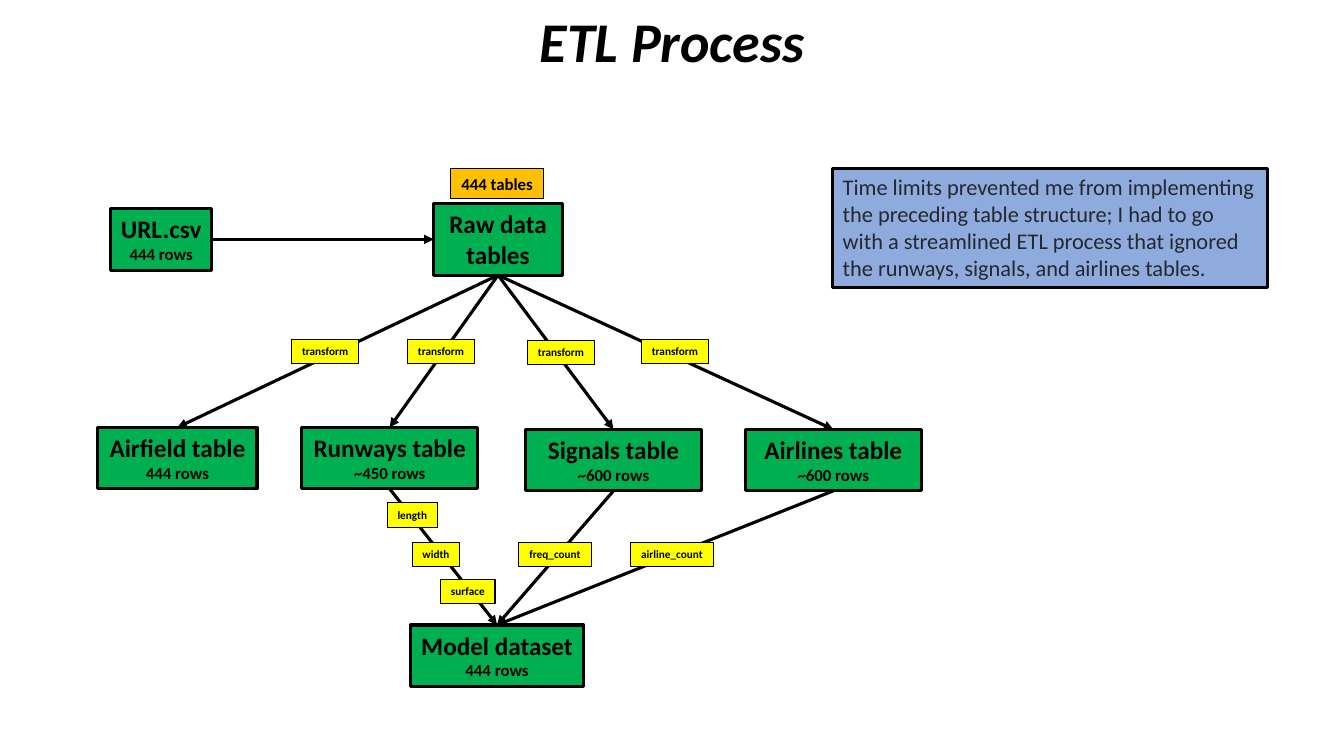
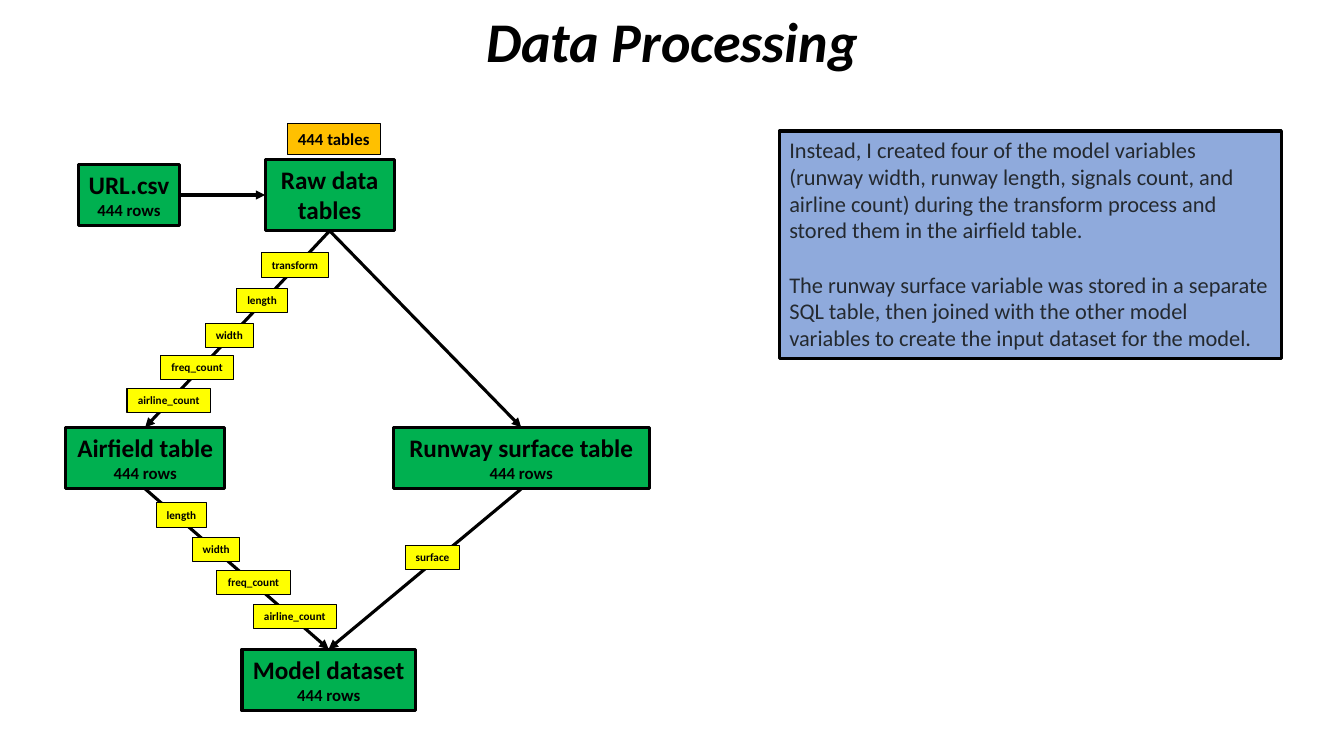
from lxml.etree import SubElement
from pptx import Presentation
from pptx.dml.color import RGBColor
from pptx.enum.shapes import MSO_CONNECTOR as Connector, MSO_SHAPE as Shape
from pptx.enum.text import MSO_ANCHOR as Anchor, MSO_AUTO_SIZE as AutoSize, PP_ALIGN as Align
from pptx.oxml.ns import qn
from pptx.util import Inches, Pt

TOP, LEFT, BOTTOM, RIGHT = range(4)


def color(value):
    return RGBColor.from_string(value)


class Deck:
    BLACK, GREEN, ORANGE, YELLOW = "000000", "00B050", "FFC000", "FFFF00"
    NOTE_FILL, NOTE_TEXT = "8FAADC", "24292F"
    FONT = "Calibri"
    THICK, THIN = 2.25, 0.75
    TITLE = {"size": Pt(40), "bold": True, "italic": True}
    HEADING = {"size": Pt(18), "bold": True}
    DETAIL = {"size": Pt(12), "bold": True}
    LABEL = {"size": Pt(8), "bold": True}
    NOTE = {"size": Pt(16), "bold": False}
    TAG_WIDTHS = {"transform": 0.67, "length": 0.5, "width": 0.47,
                  "surface": 0.54, "freq_count": 0.73, "airline_count": 0.83}

    def __init__(self):
        self.presentation = Presentation()
        self.presentation.slide_width = Inches(13.33)
        self.presentation.slide_height = Inches(7.5)
        self.slide = None

    def fill_paragraph(self, paragraph, text, style, ink=BLACK, align=Align.CENTER):
        paragraph.text = text
        paragraph.alignment = align
        for name, value in {"name": self.FONT, **style}.items():
            setattr(paragraph.font, name, value)
        paragraph.font.color.rgb = color(ink)

    def add_slide(self, title):
        self.slide = self.presentation.slides.add_slide(self.presentation.slide_layouts[5])
        shape = self.slide.shapes.title
        place = {"left": 0, "top": Inches(0.01),
                 "width": self.presentation.slide_width, "height": Inches(0.77)}
        for name, value in place.items():
            setattr(shape, name, value)
        shape.text_frame.auto_size = AutoSize.NONE
        shape.text_frame.vertical_anchor = Anchor.MIDDLE
        self.fill_paragraph(shape.text_frame.paragraphs[0], title, self.TITLE)

    def panel(self, place, lines, fill, border, wrap=False, gap=0, **text_format):
        shape = self.slide.shapes.add_shape(Shape.RECTANGLE, *map(Inches, place))
        shape.shadow.inherit = False
        shape.fill.solid()
        shape.fill.fore_color.rgb = color(fill)
        shape.line.color.rgb = color(self.BLACK)
        shape.line.width = Pt(border)
        frame = shape.text_frame
        frame.word_wrap = wrap
        frame.auto_size = AutoSize.SHAPE_TO_FIT_TEXT
        frame.vertical_anchor = Anchor.TOP
        for index, (text, style) in enumerate(lines):
            paragraph = frame.add_paragraph() if index else frame.paragraphs[0]
            if index and gap:
                paragraph.space_before = Pt(gap)
            self.fill_paragraph(paragraph, text, style, **text_format)
        return shape

    def box(self, left, top, width, heading, detail, wrap=True):
        lines = [(heading, self.HEADING), (detail, self.DETAIL)]
        return self.panel((left, top, width, 0.61), lines, self.GREEN, self.THICK, wrap)

    def source(self, top, url_left, raw_left, badge_left):
        url = self.box(url_left, top + 0.4, 1, "URL.csv", "444 rows", wrap=False)
        raw = self.panel((raw_left, top + 0.35, 1.28, 0.71),
                         [("Raw data tables", self.HEADING)], self.GREEN, self.THICK, wrap=True)
        self.panel((badge_left, top, 0.92, 0.3),
                   [("444 tables", self.DETAIL)], self.ORANGE, self.THIN)
        self.arrow(url, raw, RIGHT, LEFT)
        return raw

    def model(self, left, top):
        return self.box(left, top, 1.72, "Model dataset", "444 rows", wrap=False)

    def tags(self, places):
        for text, left, top in places:
            self.panel((left, top, self.TAG_WIDTHS[text], 0.24),
                       [(text, self.LABEL)], self.YELLOW, self.THIN)

    def note(self, place, *texts):
        self.panel(place, [(text, self.NOTE) for text in texts], self.NOTE_FILL, self.THICK,
                   wrap=True, gap=19.5, ink=self.NOTE_TEXT, align=Align.LEFT)

    def arrow(self, start, end, start_side=BOTTOM, end_side=TOP):
        connector = self.slide.shapes.add_connector(Connector.STRAIGHT, 0, 0, 0, 0)
        connector.begin_connect(start, start_side)
        connector.end_connect(end, end_side)
        connector.line.color.rgb = color(self.BLACK)
        connector.line.width = Pt(self.THICK)
        properties = connector.element.spPr
        SubElement(properties.find(qn("a:ln")), qn("a:tailEnd"), type="triangle")
        SubElement(properties, qn("a:effectLst"))


def add_etl_process(deck):
    deck.add_slide("ETL Process")
    raw = deck.source(1.67, 1.1, 4.3, 4.47)
    model = deck.model(4.07, 6.2)
    tables = [
        deck.box(0.97, 4.24, 1.58, "Airfield table", "444 rows"),
        deck.box(2.99, 4.24, 1.75, "Runways table", "~450 rows"),
        deck.box(5.21, 4.26, 1.75, "Signals table", "~600 rows"),
        deck.box(7.39, 4.26, 1.75, "Airlines table", "~600 rows"),
    ]
    for table in tables:
        deck.arrow(raw, table)
    for table in tables[1:]:
        deck.arrow(table, model)
    deck.tags([
        ("transform", 2.89, 3.37), ("transform", 4.04, 3.37),
        ("transform", 5.23, 3.38), ("transform", 6.36, 3.37),
        ("length", 3.84, 4.99), ("width", 4.09, 5.38), ("surface", 4.37, 5.75),
        ("freq_count", 5.14, 5.38), ("airline_count", 6.25, 5.38),
    ])
    deck.note((8.26, 1.67, 4.31, 1.18),
              "Time limits prevented me from implementing the preceding table structure; "
              "I had to go with a streamlined ETL process that ignored the runways, "
              "signals, and airlines tables.")


def add_data_processing(deck):
    deck.add_slide("Data Processing")
    raw = deck.source(1.23, 0.78, 2.63, 2.85)
    model = deck.model(2.4, 6.44)
    tables = [
        deck.box(0.65, 4.24, 1.58, "Airfield table", "444 rows"),
        deck.box(3.9, 4.24, 2.54, "Runway surface table", "444 rows"),
    ]
    for table in tables:
        deck.arrow(raw, table)
        deck.arrow(table, model)
    deck.tags([
        ("transform", 2.59, 2.51), ("length", 2.35, 2.86), ("width", 2.04, 3.21),
        ("freq_count", 1.59, 3.53), ("airline_count", 1.26, 3.85),
        ("length", 1.55, 4.99), ("width", 1.91, 5.33),
        ("freq_count", 2.15, 5.66), ("airline_count", 2.51, 6),
        ("surface", 4.02, 5.41),
    ])
    deck.note((7.73, 1.3, 4.98, 2.26),
              "Instead, I created four of the model variables (runway width, runway length, "
              "signals count, and airline count) during the transform process and stored "
              "them in the airfield table.",
              "The runway surface variable was stored in a separate SQL table, then joined "
              "with the other model variables to create the input dataset for the model.")


def main():
    deck = Deck()
    add_etl_process(deck)
    add_data_processing(deck)
    deck.presentation.save("out.pptx")


if __name__ == "__main__":
    main()
